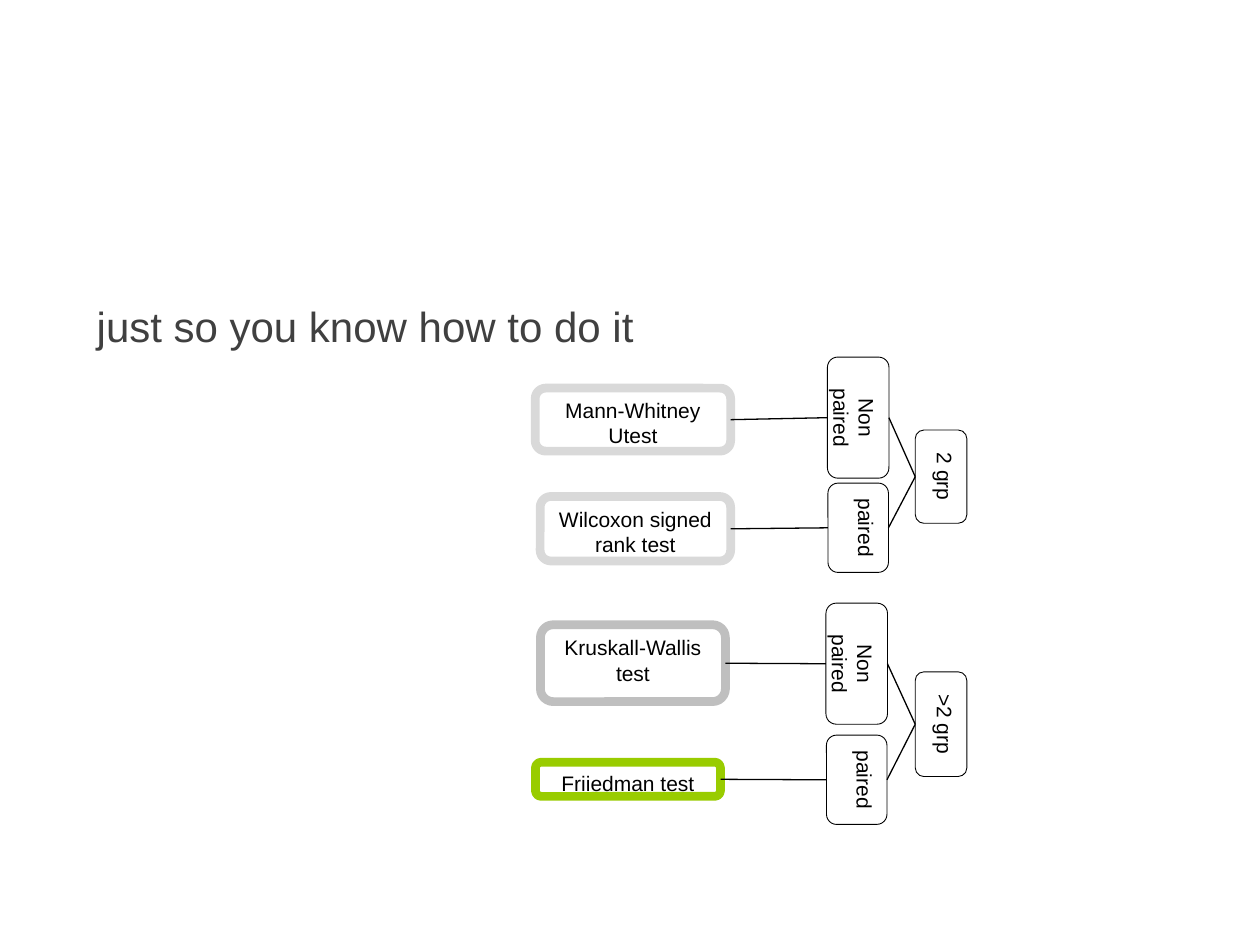
from lxml import etree
from pptx import Presentation
from pptx.dml.color import RGBColor
from pptx.enum.shapes import MSO_CONNECTOR, MSO_SHAPE
from pptx.enum.text import MSO_ANCHOR, PP_ALIGN
from pptx.oxml.ns import qn
from pptx.util import Cm, Pt

ROUNDED = MSO_SHAPE.ROUNDED_RECTANGLE
STRAIGHT = MSO_CONNECTOR.STRAIGHT
TOP = MSO_ANCHOR.TOP
LEFT, CENTER = PP_ALIGN.LEFT, PP_ALIGN.CENTER

FONT = "Arial"
COLORS = {
    "white": "FFFFFF",
    "black": "000000",
    "heading": "404040",
    "light": "D9D9D9",
    "gray": "BFBFBF",
    "green": "99CC00",
}

# Sizes along and across the text of the upright boxes, in cm
PAIRING_SIZES = {"Non paired": (2.44, 1.24), "paired": (1.8, 1.22)}
GROUP_X, GROUP_DEPTH = 18.97, 1.04

# Each group: label, centre y, length, x of its pairings, and its branches.
# Each branch: pairing, its centre y, test, test centre x and y, size, border.
GROUPS = [
    ("2 grp", 9.61, 1.88, 17.3, [
        ("Non paired", 8.42, "Mann-Whitney Utest", (12.76, 8.46), (3.94, 1.27), "light"),
        ("paired", 10.64, "Wilcoxon signed rank test", (12.81, 10.66), (3.84, 1.3), "light"),
    ]),
    (">2 grp", 14.6, 2.11, 17.27, [
        ("Non paired", 13.38, "Kruskall-Wallis test", (12.76, 13.37), (3.73, 1.55), "gray"),
        ("paired", 15.72, "Friiedman test", (12.66, 15.71), (3.73, 0.69), "green"),
    ]),
]


def color(name):
    return RGBColor.from_string(COLORS[name])


def write_text(frame, text, size=12, tint="black", align=CENTER, side=0.13):
    frame.word_wrap = True
    frame.vertical_anchor = TOP
    frame.margin_left = frame.margin_right = Cm(side)
    frame.margin_top = frame.margin_bottom = Cm(0.13)
    para = frame.paragraphs[0]
    para.alignment = align
    span = para.add_run()
    span.text = text
    span.font.name = FONT
    span.font.size = Pt(size)
    span.font.color.rgb = color(tint)


def add_heading(page, text):
    box = page.shapes.add_textbox(Cm(1.7), Cm(5.92), Cm(23.06), Cm(5.38))
    write_text(box.text_frame, text, size=24, tint="heading", align=LEFT, side=0.25)
    box.text_frame.paragraphs[0].space_before = Pt(4.8)


def add_node(page, text, center, size, border="black", weight=0.5, rotation=0):
    """Rounded box placed by its centre."""
    (x, y), (width, height) = center, size
    box = page.shapes.add_shape(
        ROUNDED, Cm(x - width / 2), Cm(y - height / 2), Cm(width), Cm(height))
    box.rotation = rotation
    box.shadow.inherit = False
    box.fill.solid()
    box.fill.fore_color.rgb = color("white")
    box.line.color.rgb = color(border)
    box.line.width = Pt(weight)
    write_text(box.text_frame, text)


def add_link(page, start, end):
    link = page.shapes.add_connector(STRAIGHT, *map(Cm, start + end))
    link.line.color.rgb = color("black")
    link.line.width = Pt(0.75)
    etree.SubElement(link._element.spPr, qn("a:effectLst"))


def add_branch(page, group_edge, pairing_x, branch):
    """Test box, pairing box, and the links that join them to the group."""
    pairing, pairing_y, test, test_center, test_size, border = branch
    pairing_size = PAIRING_SIZES[pairing]
    half_depth = pairing_size[1] / 2
    add_node(page, test, test_center, test_size, border=border, weight=5)
    add_node(page, pairing, (pairing_x, pairing_y), pairing_size, rotation=90)
    add_link(page, group_edge, (pairing_x + half_depth, pairing_y))
    add_link(page, (pairing_x - half_depth, pairing_y),
             (test_center[0] + test_size[0] / 2, test_center[1]))


def main():
    deck = Presentation()
    deck.slide_width, deck.slide_height = Cm(25.4), Cm(19.05)
    page = deck.slides.add_slide(deck.slide_layouts[6])

    # Heading
    add_heading(page, "just so you know how to do it")

    # Decision tree, from the groups on the right to the tests on the left
    for label, group_y, length, pairing_x, branches in GROUPS:
        add_node(page, label, (GROUP_X, group_y), (length, GROUP_DEPTH), rotation=90)
        for branch in branches:
            add_branch(page, (GROUP_X - GROUP_DEPTH / 2, group_y), pairing_x, branch)

    deck.save("out.pptx")


if __name__ == "__main__":
    main()
